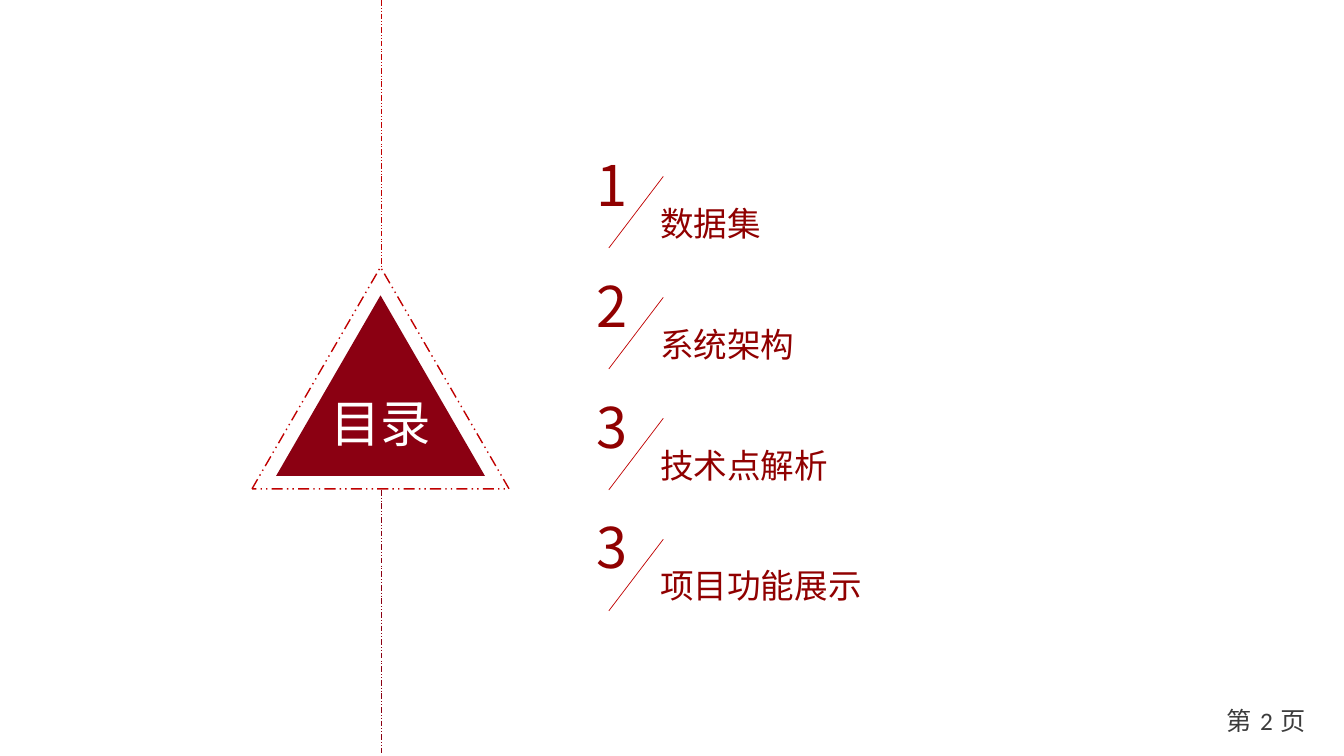
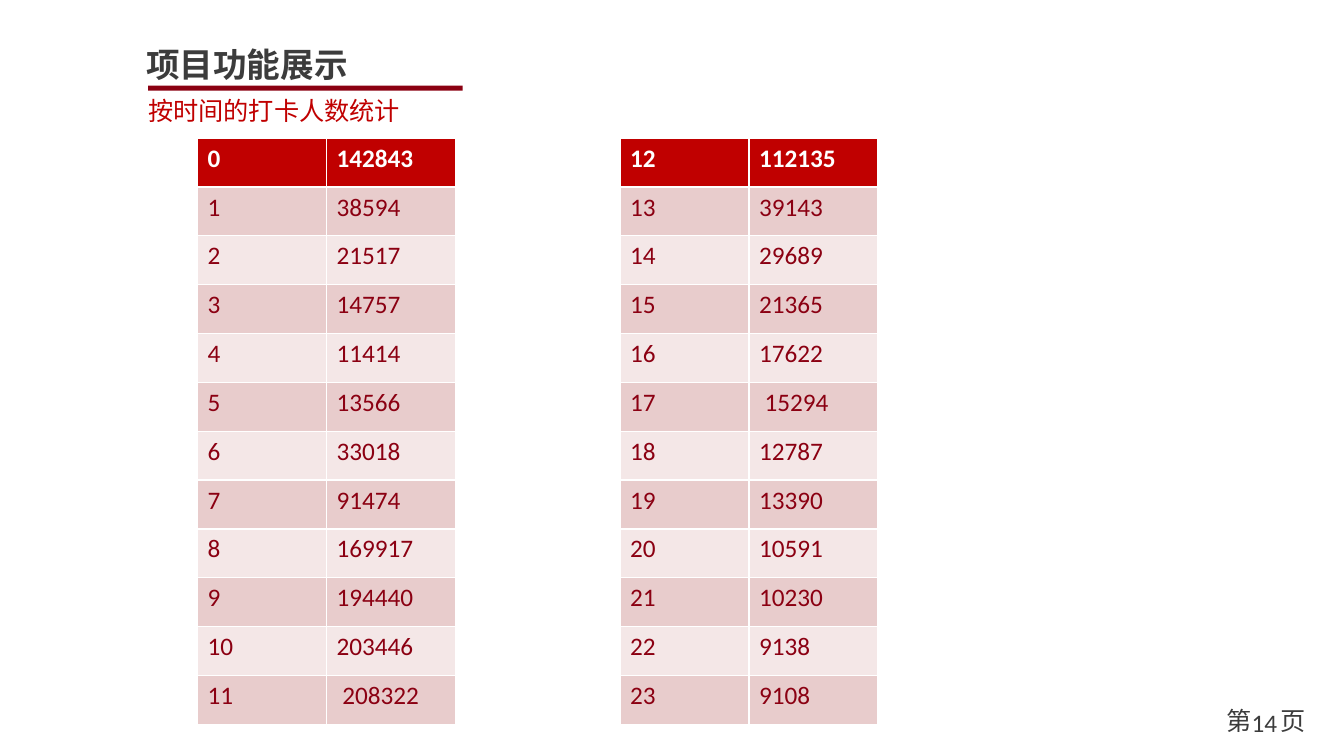
from lxml import etree
from pptx import Presentation
from pptx import util as u
from pptx.dml.color import RGBColor
from pptx.enum import dml, shapes, text
from pptx.oxml import ns

WINE = RGBColor(0x8B, 0x00, 0x12)
RED = RGBColor(0xC0, 0x00, 0x00)
DEEP_RED = RGBColor(0x90, 0x00, 0x00)
ROSE = RGBColor(0xE8, 0xCC, 0xCC)
BLUSH = RGBColor(0xF4, 0xE7, 0xE7)
GREY = RGBColor(0x3C, 0x3C, 0x3C)
WHITE = RGBColor(0xFF, 0xFF, 0xFF)
CHINESE = "Noto Sans CJK SC"
LATIN = "Calibri"
DASHED = dml.MSO_LINE.DASH_DOT_DOT


def grid(*cells):
    return [u.Inches(cell / 10) for cell in cells]


class Deck:
    def __init__(self):
        self.presentation = Presentation()
        self.presentation.slide_width, self.presentation.slide_height = grid(133.33, 75)
        self.slide = None

    def new_slide(self, number, number_column, number_row):
        self.slide = self.presentation.slides.add_slide(self.presentation.slide_layouts[6])
        middle = text.MSO_ANCHOR.MIDDLE
        self.text("第\t页", (120.7, 69.5, 9.8, 4), 18, GREY, anchor=middle, tab=5.3)
        self.text(str(number), (number_column, number_row, 15.7, 4), 18, GREY, LATIN,
                  anchor=middle, align=text.PP_ALIGN.CENTER)

    def style(self, paragraph, size, color, face=CHINESE, bold=False):
        font = paragraph.font
        font.size, font.name, font.bold = u.Pt(size), face, bold
        font.color.rgb = color
        properties = paragraph._p.pPr.find(ns.qn("a:defRPr"))
        etree.SubElement(properties, ns.qn("a:ea"), typeface=face)

    def text(self, words, area, size, color, face=CHINESE, bold=False,
             anchor=text.MSO_ANCHOR.TOP, align=None, tab=None):
        frame = self.slide.shapes.add_textbox(*grid(*area)).text_frame
        frame.word_wrap = True
        frame.vertical_anchor = anchor
        paragraph = frame.paragraphs[0]
        paragraph.text = words
        paragraph.alignment = align
        if tab:
            tabs = etree.SubElement(paragraph._p.get_or_add_pPr(), ns.qn("a:tabLst"))
            etree.SubElement(tabs, ns.qn("a:tab"), pos=str(int(grid(tab)[0])), algn="l")
        self.style(paragraph, size, color, face, bold)

    def shape(self, kind, area, fill=None, line=None):
        shape = self.slide.shapes.add_shape(kind, *grid(*area))
        shape.shadow.inherit = False
        if fill:
            shape.fill.solid()
            shape.fill.fore_color.rgb = fill
        else:
            shape.fill.background()
        if line:
            shape.line.color.rgb = line
            shape.line.width = u.Pt(1)
            shape.line.dash_style = DASHED
        else:
            shape.line.fill.background()
        return shape

    def line(self, start, end, color=RED, dash=None):
        connector = self.slide.shapes.add_connector(
            shapes.MSO_CONNECTOR.STRAIGHT, *grid(*start, *end))
        connector.line.color.rgb = color
        connector.line.width = u.Pt(0.5)
        if dash:
            connector.line.dash_style = dash
        etree.SubElement(connector._element.spPr, ns.qn("a:effectLst"))

    def emblem(self, words):
        triangle = shapes.MSO_SHAPE.ISOSCELES_TRIANGLE
        frame = self.shape(triangle, (27.4, 29.3, 20.7, 17.9), fill=WINE).text_frame
        frame.margin_left = frame.margin_top = frame.margin_right = 0
        frame.margin_bottom = grid(1.6)[0]
        frame.vertical_anchor = text.MSO_ANCHOR.MIDDLE
        paragraph = frame.paragraphs[0]
        paragraph.text = words
        paragraph.alignment = text.PP_ALIGN.CENTER
        self.style(paragraph, 36, WHITE)
        self.shape(triangle, (25, 26.5, 25.5, 22), line=RED)
        self.line((37.8, 0), (37.8, 26.5), dash=DASHED)
        self.line((37.8, 48.6), (37.8, 75), WINE, DASHED)

    def agenda_item(self, number, words, row):
        self.text(words, (64.5, row + 5.2, 46.4, 5), 24, DEEP_RED)
        self.line((65.8, row + 3.1), (60.4, row + 10.2))
        self.text(number, (58.2, row, 4.2, 7.7), 40, DEEP_RED)

    def heading(self, title, subtitle):
        self.text(title, (13.5, 3.9, 71.8, 5), 24, GREY, bold=True)
        self.shape(shapes.MSO_SHAPE.RECTANGLE, (14.7, 8.5, 31.2, 0.5), fill=WINE)
        self.text(subtitle, (13.7, 9, 71.8, 4), 18, RED)

    def hourly_table(self, column, first_hour, counts, shifted_hour):
        table = self.slide.shapes.add_table(
            len(counts), 2, *grid(column, 13.7, 25.6, 58.2)).table
        for index, count in enumerate(counts):
            hour = first_hour + index
            header = index == 0
            fill = RED if header else (BLUSH, ROSE)[index % 2]
            for cell, value in zip(table.rows[index].cells, (hour, count)):
                cell.fill.solid()
                cell.fill.fore_color.rgb = fill
                paragraph = cell.text_frame.paragraphs[0]
                paragraph.text = str(value)
                self.style(paragraph, 18, WHITE if header else WINE, LATIN, header)
            if hour == shifted_hour:
                table.cell(index, 1).margin_left = grid(1.56)[0]


def main():
    deck = Deck()

    deck.new_slide(2, 117.8, 69.5)
    deck.emblem("目录")
    agenda = [("1", "数据集"), ("2", "系统架构"), ("3", "技术点解析"), ("3", "项目功能展示")]
    for index, (number, words) in enumerate(agenda):
        deck.agenda_item(number, words, 14.4 + 12 * index)

    deck.new_slide(14, 117.6, 69.7)
    deck.heading("项目功能展示", "按时间的打卡人数统计")
    morning = [142843, 38594, 21517, 14757, 11414, 13566,
               33018, 91474, 169917, 194440, 203446, 208322]
    afternoon = [112135, 39143, 29689, 21365, 17622, 15294,
                 12787, 13390, 10591, 10230, 9138, 9108]
    deck.hourly_table(19.6, 0, morning, shifted_hour=11)
    deck.hourly_table(61.5, 12, afternoon, shifted_hour=17)

    deck.presentation.save("out.pptx")


if __name__ == "__main__":
    main()
